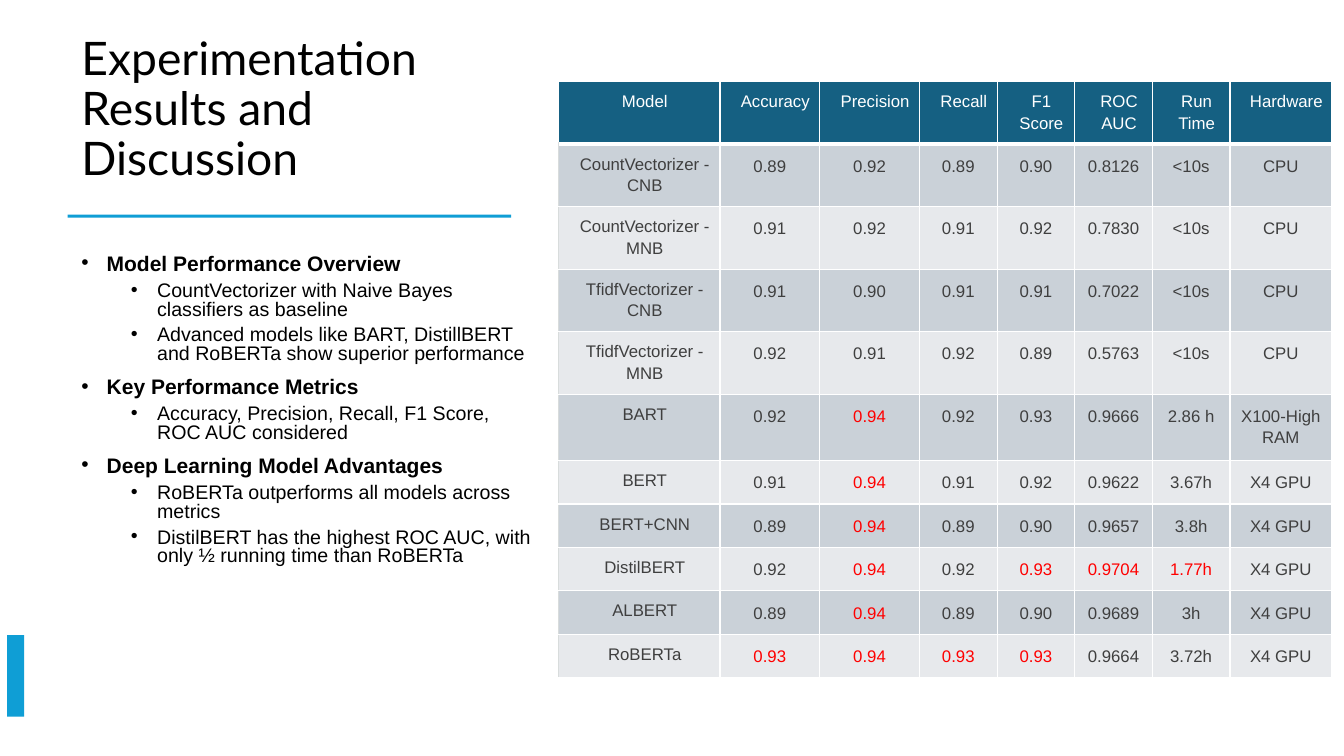
from lxml.etree import SubElement
from pptx import Presentation
from pptx.dml.color import RGBColor
from pptx.enum.shapes import MSO_SHAPE
from pptx.enum.text import MSO_ANCHOR, PP_ALIGN
from pptx.oxml.ns import qn
from pptx.util import Inches, Pt

COLORS = {
    "text": "000000",
    "accent": "0F9ED5",
    "header": "156082",
    "band_dark": "CAD1D8",
    "band_light": "E7E9EC",
    "cell_text": "3F3F3F",
    "best": "FF0000",
    "white": "FFFFFF",
    "table_edge": "D8DCDC",
}

TITLE = "Experimentation Results and Discussion"

FINDINGS = [
    ("Model Performance Overview", [
        "CountVectorizer with Naive Bayes classifiers as baseline",
        "Advanced models like BART, DistillBERT and RoBERTa show superior performance",
    ]),
    ("Key Performance Metrics", [
        "Accuracy, Precision, Recall, F1 Score, ROC AUC considered",
    ]),
    ("Deep Learning Model Advantages", [
        "RoBERTa outperforms all models across metrics",
        "DistilBERT has the highest ROC AUC, with only ½ running time than RoBERTa",
    ]),
]

# A trailing * marks a best value, shown in red without the star.
RESULTS = [
    ("Model", "Accuracy", "Precision", "Recall", "F1 Score", "ROC AUC", "Run Time", "Hardware"),
    ("CountVectorizer - CNB", "0.89", "0.92", "0.89", "0.90", "0.8126", "<10s", "CPU"),
    ("CountVectorizer - MNB", "0.91", "0.92", "0.91", "0.92", "0.7830", "<10s", "CPU"),
    ("TfidfVectorizer - CNB", "0.91", "0.90", "0.91", "0.91", "0.7022", "<10s", "CPU"),
    ("TfidfVectorizer - MNB", "0.92", "0.91", "0.92", "0.89", "0.5763", "<10s", "CPU"),
    ("BART", "0.92", "0.94*", "0.92", "0.93", "0.9666", "2.86 h", "X100-High RAM"),
    ("BERT", "0.91", "0.94*", "0.91", "0.92", "0.9622", "3.67h", "X4 GPU"),
    ("BERT+CNN", "0.89", "0.94*", "0.89", "0.90", "0.9657", "3.8h", "X4 GPU"),
    ("DistilBERT", "0.92", "0.94*", "0.92", "0.93*", "0.9704*", "1.77h*", "X4 GPU"),
    ("ALBERT", "0.89", "0.94*", "0.89", "0.90", "0.9689", "3h", "X4 GPU"),
    ("RoBERTa", "0.93*", "0.94*", "0.93*", "0.93*", "0.9664", "3.72h", "X4 GPU"),
]
COLUMN_WIDTHS = [1.6, 0.99, 0.99, 0.77, 0.77, 0.77, 0.77, 1.01]
ROW_HEIGHTS = [0.59] * 6 + [0.4] * 5


def rgb(name):
    return RGBColor.from_string(COLORS[name])


def write(paragraph, text, size, color, font="Arial", bold=False):
    paragraph.text = text
    for run in paragraph.runs:
        run.font.name = font
        run.font.size = Pt(size)
        run.font.bold = bold
        run.font.color.rgb = rgb(color)


def add_text_frame(slide, left, top, width, height, anchor):
    box = slide.shapes.add_textbox(Inches(left), Inches(top), Inches(width), Inches(height))
    frame = box.text_frame
    frame.word_wrap = True
    frame.vertical_anchor = anchor
    return frame


def add_bar(slide, left, top, width, height, rotation=0):
    bar = slide.shapes.add_shape(
        MSO_SHAPE.RECTANGLE, Inches(left), Inches(top), Inches(width), Inches(height))
    bar.rotation = rotation
    bar.shadow.inherit = False
    bar.fill.solid()
    bar.fill.fore_color.rgb = rgb("accent")
    bar.line.fill.background()


def add_title(slide):
    heading = add_text_frame(slide, 0.71, 0.24, 4.68, 1.65, MSO_ANCHOR.BOTTOM).paragraphs[0]
    write(heading, TITLE, 33, "text", font="Lato")
    heading.line_spacing = 0.9


def set_bullet(paragraph, indent, hanging):
    properties = paragraph._p.get_or_add_pPr()
    properties.set("marL", str(Inches(indent)))
    properties.set("indent", str(-Inches(hanging)))
    bullet_color = SubElement(properties, qn("a:buClr"))
    SubElement(bullet_color, qn("a:srgbClr"), val=COLORS["text"])
    SubElement(properties, qn("a:buFont"), typeface="Arial")
    SubElement(properties, qn("a:buChar"), char="•")


def add_findings(slide):
    frame = add_text_frame(slide, 0.71, 2.08, 4.68, 3.99, MSO_ANCHOR.MIDDLE)
    lines = []
    for topic, details in FINDINGS:
        lines += [(topic, 0)] + [(detail, 1) for detail in details]
    for index, (text, level) in enumerate(lines):
        line = frame.add_paragraph() if index else frame.paragraphs[0]
        line.level = level
        line.line_spacing = 0.8
        line.space_before = Pt(0 if index == 0 else 5 if level else 10)
        write(line, text, 14 if level else 15, "text", bold=level == 0)
        set_bullet(line, *((0.75, 0.26) if level else (0.25, 0.25)))


def set_border(cell, side, color, points):
    border = SubElement(cell._tc.get_or_add_tcPr(), qn(f"a:ln{side}"), w=str(Pt(points)))
    fill = SubElement(border, qn("a:solidFill"))
    SubElement(fill, qn("a:srgbClr"), val=COLORS[color])


def format_cell(cell, value, row, column):
    is_header, is_model = row == 0, column == 0
    if is_model and not is_header:
        set_border(cell, "L", "table_edge", 0.75)
    else:
        set_border(cell, "L", "white", 1)
    set_border(cell, "R", "white", 1)
    set_border(cell, "T", "white", 3 if row == 1 else 1)
    set_border(cell, "B", "white", 3 if is_header else 1)

    cell.fill.solid()
    band = "band_dark" if row % 2 else "band_light"
    cell.fill.fore_color.rgb = rgb("header" if is_header else band)
    margins = (0.16, 0.08, 0.05, 0.08) if is_header or is_model else (0.1,) * 4
    (cell.margin_left, cell.margin_top,
     cell.margin_right, cell.margin_bottom) = map(Inches, margins)

    color = "white" if is_header else "best" if value.endswith("*") else "cell_text"
    label = cell.text_frame.paragraphs[0]
    write(label, value.rstrip("*"), 12, color)
    label.alignment = PP_ALIGN.CENTER
    label.line_spacing = 1.15


def add_results(slide):
    table = slide.shapes.add_table(
        len(RESULTS), len(COLUMN_WIDTHS), Inches(5.54), Inches(0.81),
        Inches(sum(COLUMN_WIDTHS)), Inches(sum(ROW_HEIGHTS))).table
    for column, width in zip(table.columns, COLUMN_WIDTHS):
        column.width = Inches(width)
    for row, height in zip(table.rows, ROW_HEIGHTS):
        row.height = Inches(height)
    for r, values in enumerate(RESULTS):
        for c, value in enumerate(values):
            format_cell(table.cell(r, c), value, r, c)


def main():
    deck = Presentation()
    deck.slide_width = Inches(13.33)
    deck.slide_height = Inches(7.5)
    slide = deck.slides.add_slide(deck.slide_layouts[6])
    add_title(slide)
    add_bar(slide, 0.67, 2.13, 4.4, 0.03)
    add_findings(slide)
    add_bar(slide, -0.25, 6.62, 0.81, 0.17, rotation=90)
    add_results(slide)
    deck.save("out.pptx")


if __name__ == "__main__":
    main()
